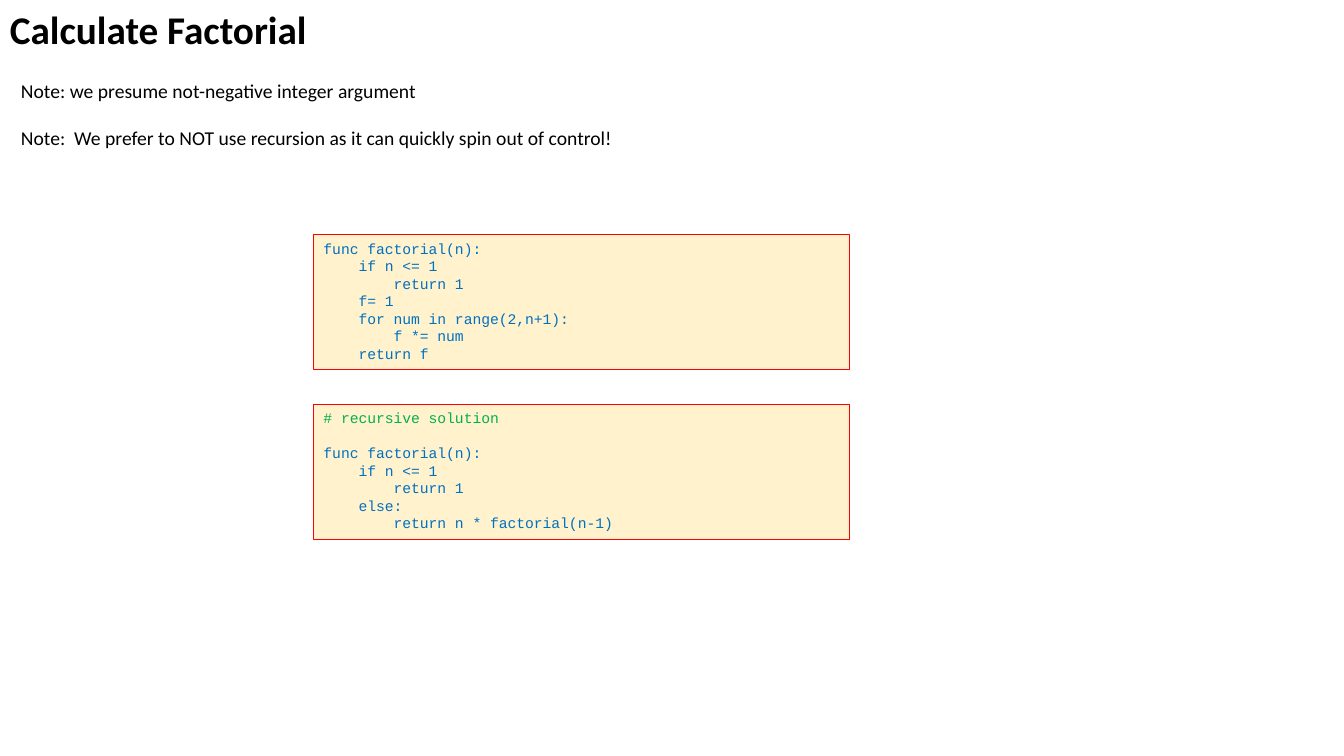
import pptx
import pptx.util
import pptx.dml.color
import pptx.enum.shapes
import pptx.enum.text

PX = 9144  # EMU per px, 100 px to the inch

TITLE = ["Calculate Factorial"]
NOTES = [
    "Note: we presume not-negative integer argument",
    "Note:  We prefer to NOT use recursion as it can quickly spin out of control!",
]
LOOP = [
    "func factorial(n):",
    "    if n <= 1",
    "        return 1",
    "    f= 1",
    "    for num in range(2,n+1):",
    "        f *= num",
    "    return f",
]
RECUR = [
    "# recursive solution",
    "func factorial(n):",
    "    if n <= 1",
    "        return 1",
    "    else:",
    "        return n * factorial(n-1)",
]
CODES = [LOOP, RECUR]
LEFT, TOP, WIDE, HIGH, STEP = 311, 233, 532, 134, 168


def color(code):
    return pptx.dml.color.RGBColor.from_string(code)


def write(shape, lines, size, font="Calibri", ink="000000", bold=False, gap=0, pitch=None):
    """Fill a shape with lines; gap is the space in points before the second."""
    frame = shape.text_frame
    frame.word_wrap = True
    for i, line in enumerate(lines):
        para = frame.paragraphs[0] if i == 0 else frame.add_paragraph()
        para.alignment = pptx.enum.text.PP_ALIGN.LEFT
        if pitch:
            para.line_spacing = pptx.util.Pt(pitch)
        if i == 1 and gap:
            para.space_before = pptx.util.Pt(gap)
        run = para.add_run()
        run.text = line
        run.font.name = font
        run.font.size = pptx.util.Pt(size)
        run.font.bold = bold
        run.font.color.rgb = color("00B050" if line.startswith("#") else ink)


def place(*box):
    return [n * PX for n in box]


deck = pptx.Presentation()
deck.slide_width, deck.slide_height = place(1333, 750)
slide = deck.slides.add_slide(deck.slide_layouts[6])
shapes = slide.shapes

write(shapes.add_textbox(*place(0, 0, 700, 57)), TITLE, 28, bold=True)
write(shapes.add_textbox(*place(11, 73, 629, 81)), NOTES, 14, gap=17)

for i, code in enumerate(CODES):
    rect = pptx.enum.shapes.MSO_SHAPE.RECTANGLE
    panel = shapes.add_shape(rect, *place(LEFT, TOP + i * STEP, WIDE, HIGH))
    panel.shadow.inherit = False
    panel.fill.solid()
    panel.fill.fore_color.rgb = color("FFF2CC")
    panel.line.color.rgb = color("FF0000")
    panel.line.width = pptx.util.Pt(0.75)
    panel.text_frame.vertical_anchor = pptx.enum.text.MSO_ANCHOR.TOP
    gap = 12.5 if code is RECUR else 0
    write(panel, code, 10.5, font="Courier New", ink="0070C0", gap=gap, pitch=12.5)

deck.save("out.pptx")
